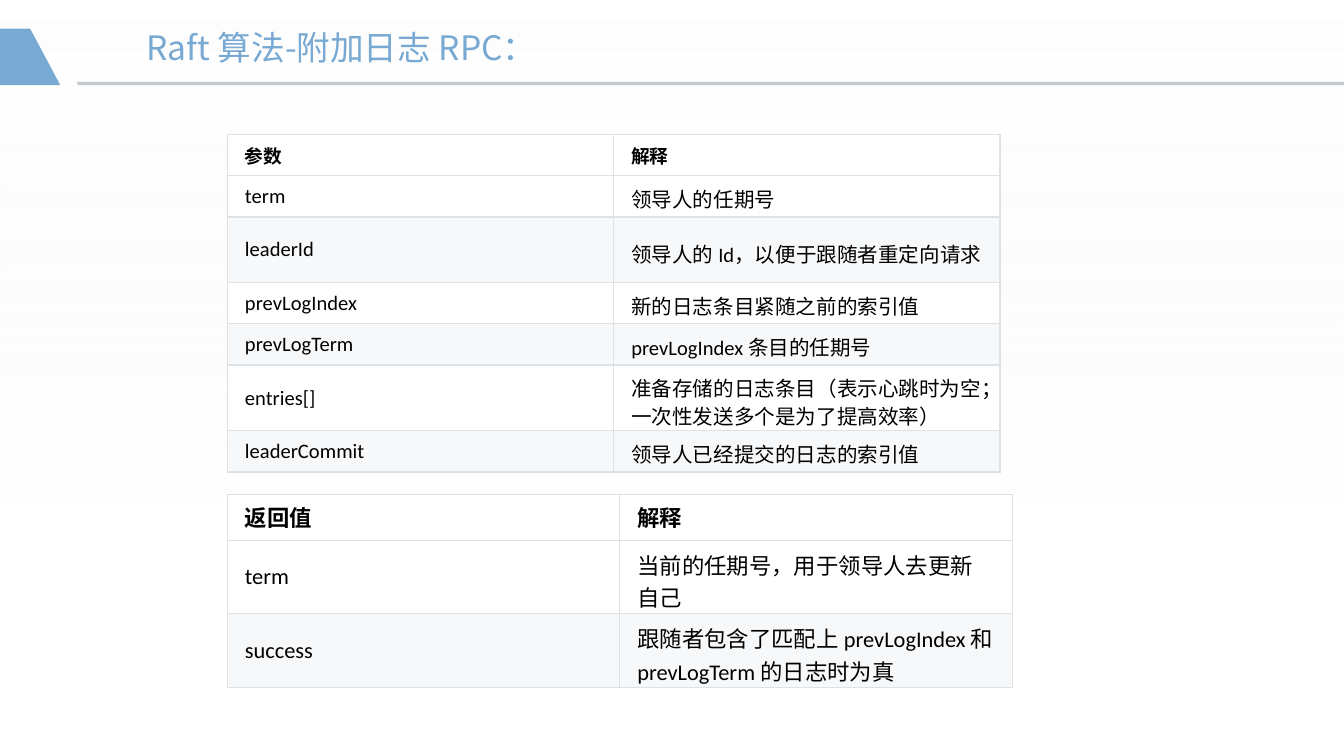
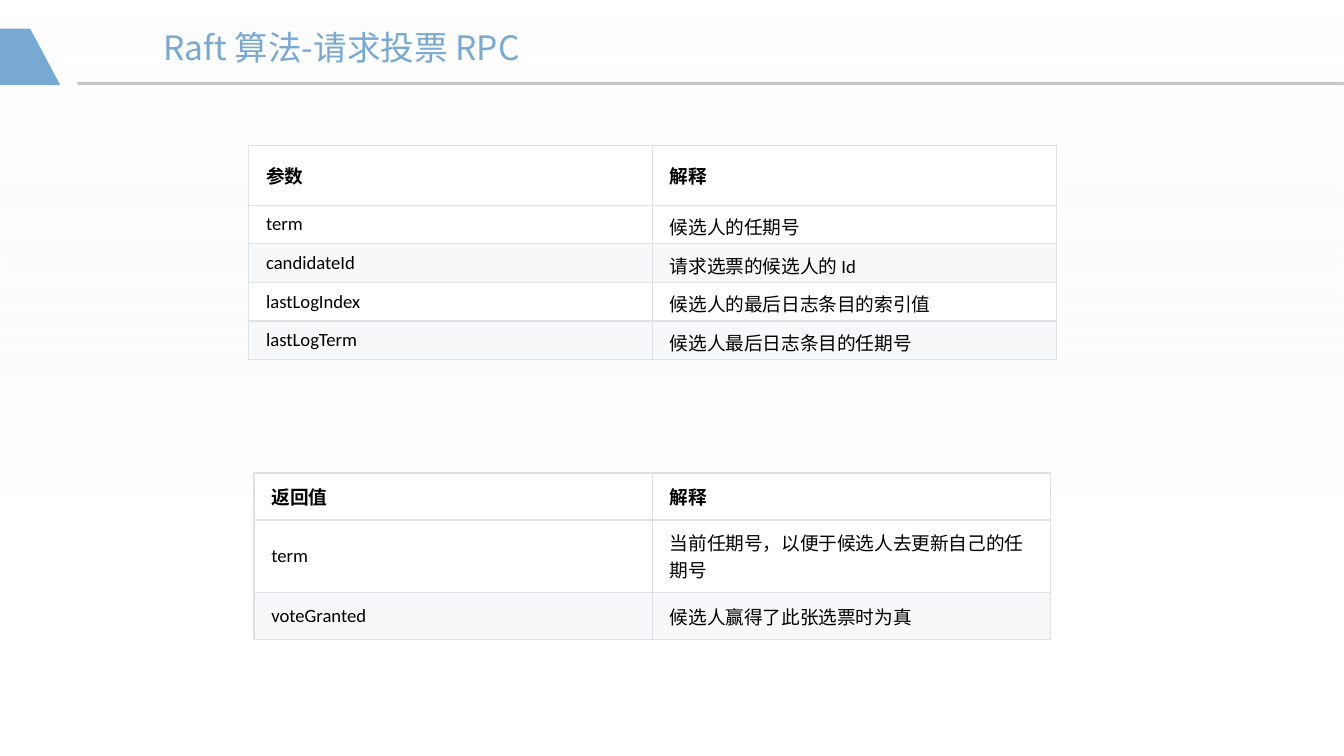
import pptx
import pptx.dml.color
import pptx.enum.dml
import pptx.enum.shapes
import pptx.enum.text
import pptx.oxml
import pptx.oxml.ns
import pptx.util

Cm = pptx.util.Cm
qn = pptx.oxml.ns.qn

COLORS = {
    "title": "77A9D3",
    "rule": "C4C7CB",
    "text": "000000",
    "border": "DFE2E5",
    "plain": "FFFFFF",
    "stripe": "F6F8FA",
    "haze": "F2F2F2",
}
CJK_FONT = "Noto Sans CJK SC"
TABLE_FONT = "Calibri"
SLIDE_W, SLIDE_H = 25.4, 14.29

RULE_POINTS = [(1.45, 1.55), (SLIDE_W, 1.55), (SLIDE_W, 1.61), (1.48, 1.61)]
MARKER_POINTS = [(0.57, 0.54), (1.14, 1.61), (0, 1.61), (0, 0.54)]

APPEND_PARAMETERS = [
    ("参数", "解释"),
    ("term", "领导人的任期号"),
    ("leaderId", "领导人的 Id，以便于跟随者重定向请求"),
    ("prevLogIndex", "新的日志条目紧随之前的索引值"),
    ("prevLogTerm", "prevLogIndex 条目的任期号"),
    ("entries[]", "准备存储的日志条目（表示心跳时为空；一次性发送多个是为了提高效率）"),
    ("leaderCommit", "领导人已经提交的日志的索引值"),
]
APPEND_RESULTS = [
    ("返回值", "解释"),
    ("term", "当前的任期号，用于领导人去更新自己"),
    ("success", "跟随者包含了匹配上 prevLogIndex 和 prevLogTerm 的日志时为真"),
]
VOTE_PARAMETERS = [
    ("参数", "解释"),
    ("term", "候选人的任期号"),
    ("candidateId", "请求选票的候选人的 Id"),
    ("lastLogIndex", "候选人的最后日志条目的索引值"),
    ("lastLogTerm", "候选人最后日志条目的任期号"),
]
VOTE_RESULTS = [
    ("返回值", "解释"),
    ("term", "当前任期号，以便于候选人去更新自己的任期号"),
    ("voteGranted", "候选人赢得了此张选票时为真"),
]


def rgb(name):
    return pptx.dml.color.RGBColor.from_string(COLORS[name])


def write_text(frame, text, *, size, font, color="text", bold=False, align=None, spacing=None):
    paragraph = frame.paragraphs[0]
    paragraph.alignment = align
    paragraph.line_spacing = spacing
    run = paragraph.add_run()
    run.text = text
    run.font.size = pptx.util.Pt(size)
    run.font.name = font
    run.font.bold = bold
    run.font.color.rgb = rgb(color)
    east_asian = pptx.oxml.parse_xml(
        f'<a:ea {pptx.oxml.ns.nsdecls("a")} typeface="{CJK_FONT}"/>')
    run.font._element.find(qn("a:latin")).addnext(east_asian)


def add_polygon(slide, points, color):
    start, *rest = [(Cm(x), Cm(y)) for x, y in points]
    builder = slide.shapes.build_freeform(*start)
    builder.add_line_segments(rest, close=True)
    polygon = builder.convert_to_shape()
    polygon.fill.solid()
    polygon.fill.fore_color.rgb = rgb(color)
    return polygon


def add_haze(slide):
    """Cover the slide with a faint gradient that fades out downwards."""
    haze = slide.shapes.add_shape(
        pptx.enum.shapes.MSO_SHAPE.RECTANGLE, 0, 0, Cm(SLIDE_W), Cm(SLIDE_H))
    haze.fill.gradient()
    haze.fill.gradient_angle = 270
    stops = [(0, "plain", 55), (0.71, "haze", 0)]
    for stop, (position, color, _) in zip(haze.fill.gradient_stops, stops):
        stop.position = position
        stop.color.rgb = rgb(color)
    for node, (_, _, opacity) in zip(haze._element.spPr.iter(qn("a:srgbClr")), stops):
        node.append(pptx.oxml.parse_xml(
            f'<a:alpha {pptx.oxml.ns.nsdecls("a")} val="{opacity * 1000}"/>'))
    return haze


def dress_master(prs, slide):
    """Draw the shared background and header, then move them to the slide master."""
    decorations = [
        add_haze(slide),
        add_polygon(slide, RULE_POINTS, "rule"),
        add_polygon(slide, MARKER_POINTS, "title"),
    ]
    master_tree = prs.slide_master.shapes.element
    for order, shape in enumerate(decorations):
        shape.shadow.inherit = False
        shape.line.fill.background()
        shape._element.nvSpPr.cNvPr.set("id", str(101 + order))
        master_tree.insert(2 + order, shape._element)


def add_titled_slide(prs, heading):
    slide = prs.slides.add_slide(prs.slide_layouts.get_by_name("Title Only"))
    title = slide.shapes.title
    title.left, title.top, title.width, title.height = Cm(2.39), Cm(0.6), Cm(8.13), Cm(0.69)
    frame = title.text_frame
    frame.word_wrap = True
    frame.auto_size = pptx.enum.text.MSO_AUTO_SIZE.NONE
    frame.vertical_anchor = pptx.enum.text.MSO_ANCHOR.MIDDLE
    frame.margin_left = frame.margin_right = Cm(0.25)
    frame.margin_top = frame.margin_bottom = Cm(0.13)
    write_text(frame, heading, size=18, font=CJK_FONT, color="title",
               align=pptx.enum.text.PP_ALIGN.CENTER, spacing=0.85)
    return slide


def add_borders(cell):
    properties = cell._tc.get_or_add_tcPr()
    for order, side in enumerate(("lnL", "lnR", "lnT", "lnB")):
        properties.insert(order, pptx.oxml.parse_xml(
            f'<a:{side} {pptx.oxml.ns.nsdecls("a")} w="9525"><a:solidFill>'
            f'<a:srgbClr val="{COLORS["border"]}"/></a:solidFill></a:{side}>'))


def add_field_table(slide, rows, *, left, top, width, height, row_heights, bottoms,
                    header_size=10, body_size=10, spacing=None):
    """Add a table of field names and explanations; bottoms pad the explanations."""
    frame = slide.shapes.add_table(len(rows), 2, Cm(left), Cm(top), Cm(width), Cm(height))
    table = frame.table
    table.first_row = table.horz_banding = False
    for r, (texts, row_height, bottom) in enumerate(zip(rows, row_heights, bottoms)):
        table.rows[r].height = Cm(row_height)
        striped = r > 0 and r % 2 == 0
        for c, text in enumerate(texts):
            cell = table.cell(r, c)
            cell.fill.solid()
            cell.fill.fore_color.rgb = rgb("stripe" if striped else "plain")
            cell.vertical_anchor = pptx.enum.text.MSO_ANCHOR.MIDDLE
            cell.margin_left = cell.margin_right = Cm(0.33)
            cell.margin_top = Cm(0.15 if r else 0.1)
            cell.margin_bottom = Cm(bottom if r and c else cell.margin_top.cm)
            add_borders(cell)
            write_text(cell.text_frame, text, font=TABLE_FONT, bold=r == 0,
                       size=body_size if r else header_size,
                       spacing=None if bottom else spacing)
    frame.height = Cm(height)


def main():
    prs = pptx.Presentation()
    prs.slide_width, prs.slide_height = Cm(SLIDE_W), Cm(SLIDE_H)

    append_slide = add_titled_slide(prs, "Raft 算法-附加日志 RPC：")
    dress_master(prs, append_slide)
    single, double = (0.78, 0.06), (1.24, 0)
    heights, bottoms = zip(single, single, double, single, single, double, single)
    add_field_table(append_slide, APPEND_PARAMETERS, left=4.3, top=2.54, width=14.6,
                    height=6.38, body_size=11, spacing=0.95,
                    row_heights=heights, bottoms=bottoms)
    add_field_table(append_slide, APPEND_RESULTS, left=4.3, top=9.34, width=14.83,
                    height=3.66, header_size=12, body_size=12,
                    row_heights=[0.87, 1.39, 1.39], bottoms=[0] * 3)

    vote_slide = add_titled_slide(prs, "Raft 算法-请求投票 RPC")
    add_field_table(vote_slide, VOTE_PARAMETERS, left=4.7, top=2.75, width=15.26,
                    height=4.06, row_heights=[1.13] + [0.56] * 4, bottoms=[0.07] * 5)
    add_field_table(vote_slide, VOTE_RESULTS, left=4.8, top=8.94, width=15.06,
                    height=3.15, row_heights=[0.89, 1.37, 0.89], bottoms=[0.15] * 3)

    prs.save("out.pptx")


if __name__ == "__main__":
    main()
